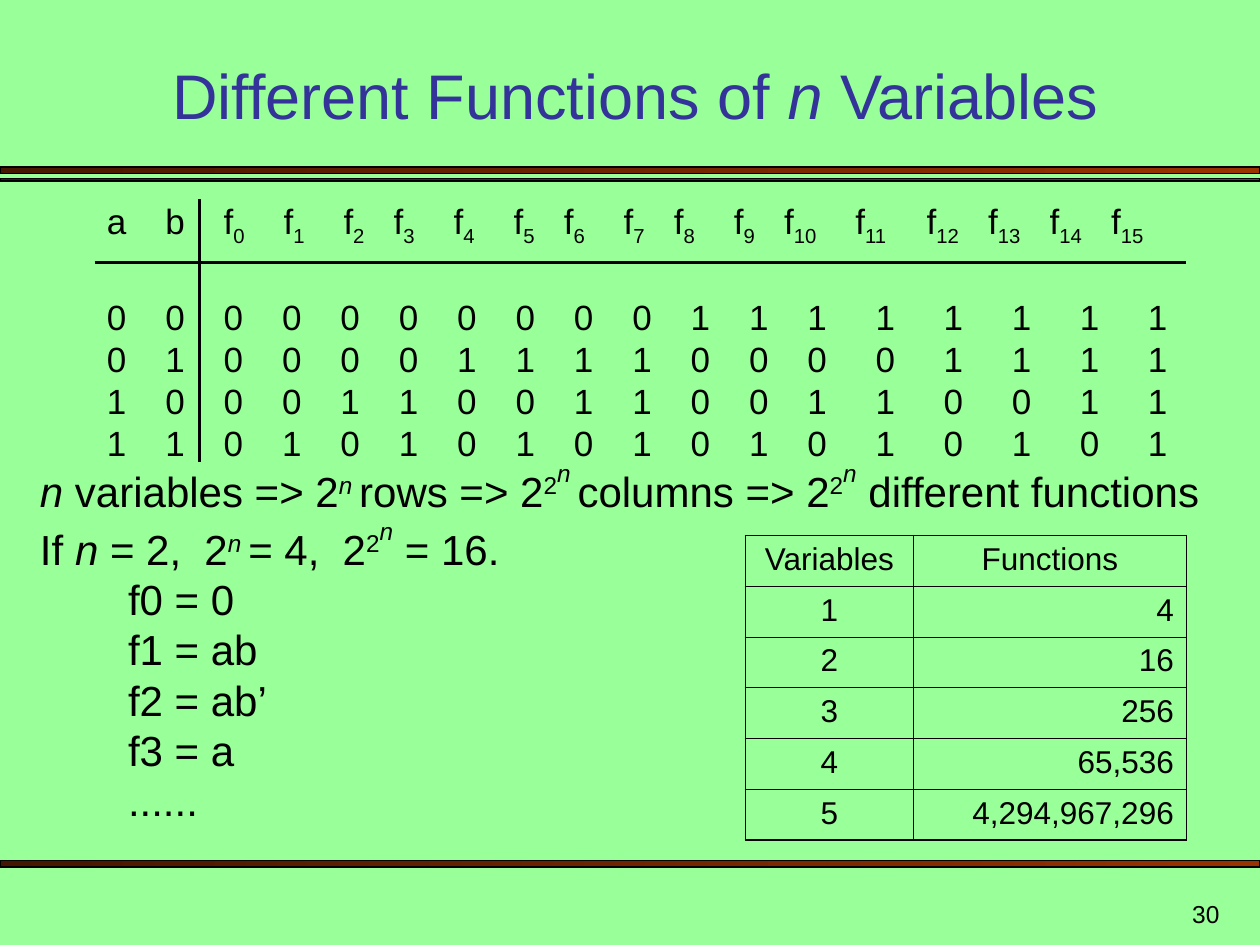
from itertools import accumulate
from lxml.etree import SubElement as Sub
from pptx import Presentation
from pptx.dml.color import RGBColor as RGB
from pptx.enum.shapes import MSO_CONNECTOR as Link, MSO_SHAPE as Shape
from pptx.enum.text import MSO_ANCHOR as Anchor, MSO_AUTO_SIZE as Auto, PP_ALIGN as Align
from pptx.oxml.ns import qn
from pptx.util import Pt

HUES = {"back": "99FF99", "title": "333399", "rust": "993300", "dark": "461700", "ink": "000000"}
INK = RGB.from_string(HUES["ink"])


def add(par, text, size, hue="ink", base=0, italic=False):
    run = par.add_run()
    run.text = text
    look = {"name": "Arial", "size": Pt(size), "italic": italic}
    for key, val in look.items():
        setattr(run.font, key, val)
    run.font.color.rgb = RGB.from_string(HUES[hue])
    if base:
        run.font._element.set("baseline", str(base * 1000))


def place(box, spot, anchor=Anchor.TOP, wrap=True):
    for key, val in zip(("left", "top", "width", "height"), spot):
        setattr(box, key, Pt(val))
    frame = box.text_frame
    look = {"auto_size": Auto.NONE, "word_wrap": wrap, "vertical_anchor": anchor,
            "margin_left": Pt(7.2), "margin_right": Pt(7.2),
            "margin_top": Pt(3.6), "margin_bottom": Pt(3.6)}
    for key, val in look.items():
        setattr(frame, key, val)
    return frame


deck = Presentation()
deck.slide_width, deck.slide_height = Pt(720), Pt(540)
slide = deck.slides.add_slide(deck.slide_layouts[1])
shapes = slide.shapes
slide.background.fill.solid()
slide.background.fill.fore_color.rgb = RGB.from_string(HUES["back"])

# Rules across the slide
for top, high in ((95.5, 3.75), (102, 1.5), (491.75, 3.75)):
    bar = shapes.add_shape(Shape.RECTANGLE, 0, Pt(top), Pt(720), Pt(high))
    bar.shadow.inherit = False
    bar.fill.gradient()
    bar.fill.gradient_angle = 180
    for stop, hue in zip(bar.fill.gradient_stops, ("rust", "dark")):
        stop.color.rgb = RGB.from_string(HUES[hue])
    bar.line.color.rgb = INK
    bar.line.width = Pt(0.75)

# Title
par = place(shapes.title, (42, 30, 642, 49), Anchor.BOTTOM).paragraphs[0]
par.alignment = Align.CENTER
for text, italic in (("Different Functions of ", False), ("n", True), (" Variables", False)):
    add(par, text, 36, "title", italic=italic)

# Truth table: columns sit on tab stops
space, digit, small = 5.56, 11.12, 6.45
gaps = [4, 4, 3, 4, 4, 3, 4, 3, 4, 3, 4, 4, 3, 3, 3]
pitch = digit + 4 * space
steps = [space + small * len(str(k)) + gap * space for k, gap in enumerate(gaps)]
heads = list(accumulate([pitch, pitch] + steps))
cols = list(accumulate([pitch] * 12 + [pitch + space] * 5))

frame = place(shapes.add_textbox(0, 0, 0, 0), (54, 114, 630, 155))
for row in range(-1, 4):
    par = frame.paragraphs[0] if row < 0 else frame.add_paragraph()
    tabs = Sub(par._p.get_or_add_pPr(), qn("a:tabLst"))
    for pos in heads if row < 0 else cols:
        Sub(tabs, qn("a:tab"), pos=str(int(Pt(pos))), algn="l")
    par.line_spacing = Pt(24)
    if row < 0:
        add(par, "a\tb", 20)
        for k in range(16):
            add(par, "\tf", 20)
            add(par, str(k), 20, base=-25)
    else:
        if row == 0:
            par.space_before = Pt(27.4)
        bits = [row >> 1, row & 1] + [k >> (3 - row) & 1 for k in range(16)]
        add(par, "\t".join(map(str, bits)), 20)

# Lines of the truth table
for ends in ((54, 150, 678, 150), (114, 114, 114, 264)):
    line = shapes.add_connector(Link.STRAIGHT, *map(Pt, ends))
    line.line.color.rgb = INK
    line.line.width = Pt(2)
    Sub(line._element.spPr, qn("a:effectLst"))

# Counting formulas: text, raise in percent, italic
rules = [
    [("n", 0, True), (" variables => 2", 0, False), ("n ", 30, True), ("rows => 2", 0, False),
     ("2", 30, False), ("n ", 60, True), ("columns => 2", 0, False), ("2", 30, False),
     ("n", 60, True), (" different functions", 0, False)],
    [("If ", 0, False), ("n", 0, True), (" = 2,  2", 0, False), ("n ", 30, True),
     ("= 4,  2", 0, False), ("2", 30, False), ("n", 60, True), (" = 16.", 0, False)],
]
par = place(shapes.add_textbox(0, 0, 0, 0), (15.75, 258, 677, 73.5), wrap=False).paragraphs[0]
for i, rule in enumerate(rules):
    if i:
        par.add_line_break()
    for text, base, italic in rule:
        add(par, text, 24, base=base, italic=italic)

# List of functions
frame = place(slide.placeholders[1], (66, 324, 114, 151))
for i, text in enumerate(("f0 = 0", "f1 = ab", "f2 = ab’", "f3 = a", "......")):
    par = frame.paragraphs[0] if i == 0 else frame.add_paragraph()
    props = par._p.get_or_add_pPr()
    props.set("marL", "0")
    props.set("indent", "0")
    Sub(props, qn("a:buNone"))
    par.space_before = Pt(0)
    par.line_spacing = Pt(28.8)
    add(par, text, 24)

# Table of counts
rows = [("Variables", "Functions")] + [(str(n), f"{2 ** 2 ** n:,}") for n in range(1, 6)]
grid = shapes.add_table(6, 2, Pt(426), Pt(306), Pt(252), Pt(174)).table
grid.first_row = grid.horz_banding = False
for col, wide in zip(grid.columns, (96, 156)):
    col.width = Pt(wide)
for r, row in enumerate(rows):
    grid.rows[r].height = Pt(29)
    for c, text in enumerate(row):
        cell = grid.cell(r, c)
        edges = {"L": c == 0, "R": c == 1, "T": r == 0, "B": r == 5}
        for side, outer in edges.items():
            edge = Sub(cell._tc.get_or_add_tcPr(), qn(f"a:ln{side}"),
                       w=str(int(Pt(1.08 if outer else 0.45))))
            Sub(Sub(edge, qn("a:solidFill")), qn("a:srgbClr"), val=HUES["ink"])
        cell.fill.background()
        par = cell.text_frame.paragraphs[0]
        par.alignment = Align.RIGHT if r and c else Align.CENTER
        add(par, text, 18)

# Slide number
par = place(shapes.add_textbox(0, 0, 0, 0), (554, 504, 150, 30), Anchor.BOTTOM).paragraphs[0]
par.alignment = Align.RIGHT
add(par, "30", 14)

deck.save("out.pptx")
